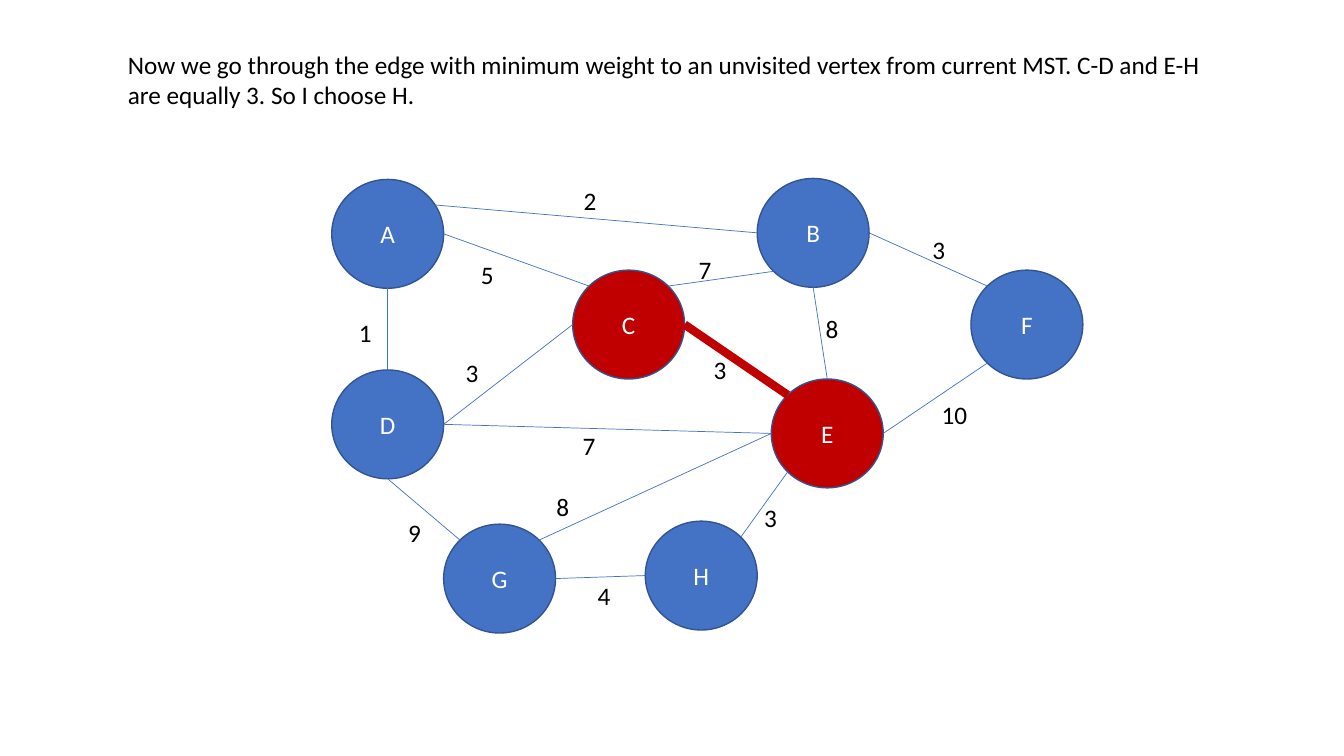
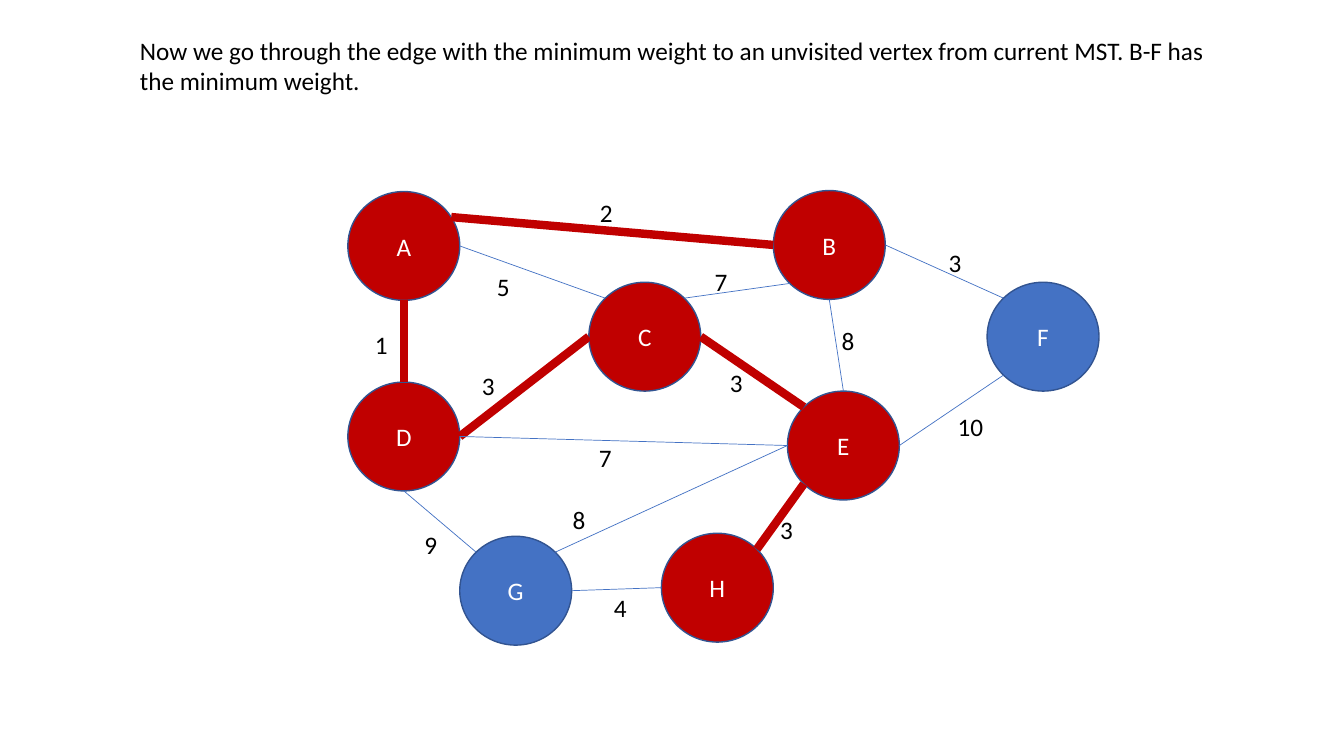
from dataclasses import dataclass
from math import cos, radians, sin

from lxml.etree import SubElement
from pptx import Presentation
from pptx.dml.color import RGBColor
from pptx.enum.shapes import MSO_CONNECTOR, MSO_SHAPE
from pptx.enum.text import MSO_ANCHOR, PP_ALIGN
from pptx.oxml.ns import qn
from pptx.util import Inches, Pt

BLUE = RGBColor(0x44, 0x72, 0xC4)
NAVY = RGBColor(0x32, 0x54, 0x91)
RED = RGBColor(0xC0, 0x00, 0x00)
WHITE = RGBColor(0xFF, 0xFF, 0xFF)
BLACK = RGBColor(0x00, 0x00, 0x00)

FONT = "Calibri"
NODE_W, NODE_H = 1.11, 1.08
LABEL_H = 0.4
CAPTION_H = 0.71


@dataclass(frozen=True)
class Edge:
    """A weighted edge; angles (degrees, counterclockwise) say where it meets each node."""
    start: str
    start_angle: float
    end: str
    end_angle: float
    weight: int
    label_x: float
    label_y: float

    @property
    def name(self) -> str:
        return self.start + self.end


@dataclass(frozen=True)
class Step:
    """One state of the spanning tree, with the graph shifted by dx, dy."""
    caption: str
    caption_box: tuple[float, float, float]
    visited: str
    tree: frozenset[str]
    dx: float = 0
    dy: float = 0


NODES = {
    "A": (3.29, 1.78),
    "D": (3.29, 3.67),
    "G": (4.4, 5.2),
    "C": (5.68, 2.68),
    "B": (7.51, 1.77),
    "E": (7.65, 3.76),
    "H": (6.4, 5.17),
    "F": (9.63, 2.68),
}

EDGES = [
    Edge("A", 0, "C", 135, 5, 4.67, 2.52),
    Edge("A", 32, "B", 180, 2, 5.69, 1.79),
    Edge("A", 270, "D", 90, 1, 3.46, 3.1),
    Edge("D", 270, "G", 135, 9, 3.95, 5.08),
    Edge("G", 0, "H", 180, 4, 5.83, 5.71),
    Edge("H", 45, "E", 225, 3, 7.48, 4.93),
    Edge("E", 0, "F", 225, 10, 9.24, 3.91),
    Edge("B", 0, "F", 135, 3, 9.15, 2.28),
    Edge("B", 270, "E", 90, 8, 8.09, 3.06),
    Edge("D", 0, "C", 180, 3, 4.52, 3.5),
    Edge("C", 45, "B", 225, 7, 6.83, 2.47),
    Edge("D", 0, "E", 180, 7, 5.68, 4.22),
    Edge("C", 0, "E", 135, 3, 6.98, 3.47),
    Edge("G", 45, "E", 180, 8, 5.42, 4.83),
]

STEPS = [
    Step(
        "Now we go through the edge with minimum weight to an unvisited vertex "
        "from current MST. C-D and E-H are equally 3. So I choose H.",
        (1.17, 0.44, 11.14), "CE", frozenset({"CE"}),
    ),
    Step(
        "Now we go through the edge with the minimum weight to an unvisited vertex "
        "from current MST. B-F has the minimum weight.",
        (1.29, 0.3, 10.86), "ABCDEH", frozenset({"AB", "AD", "DC", "CE", "HE"}),
        dx=0.16, dy=0.12,
    ),
]


def write(s, text: str, *, color: RGBColor = BLACK, size: float = 18,
          align: PP_ALIGN = PP_ALIGN.LEFT, anchor: MSO_ANCHOR = MSO_ANCHOR.TOP) -> None:
    tf = s.text_frame
    tf.word_wrap = True
    tf.vertical_anchor = anchor
    p = tf.paragraphs[0]
    p.alignment = align
    r = p.add_run()
    r.text = text
    r.font.name = FONT
    r.font.size = Pt(size)
    r.font.color.rgb = color


def add_text(sp_tree, text: str, x: float, y: float, w: float, h: float) -> None:
    write(sp_tree.add_textbox(Inches(x), Inches(y), Inches(w), Inches(h)), text)


def add_node(sp_tree, name: str, x: float, y: float, fill: RGBColor) -> None:
    s = sp_tree.add_shape(MSO_SHAPE.OVAL, Inches(x), Inches(y),
                          Inches(NODE_W), Inches(NODE_H))
    s.shadow.inherit = False
    s.fill.solid()
    s.fill.fore_color.rgb = fill
    s.line.color.rgb = NAVY
    s.line.width = Pt(1)
    write(s, name, color=WHITE, align=PP_ALIGN.CENTER, anchor=MSO_ANCHOR.MIDDLE)


def rim_point(node: str, angle: float, step: Step) -> tuple[float, float]:
    x, y = NODES[node]
    a = radians(angle)
    return (x + step.dx + NODE_W / 2 * (1 + cos(a)),
            y + step.dy + NODE_H / 2 * (1 - sin(a)))


def add_edge(sp_tree, edge: Edge, step: Step) -> None:
    x1, y1 = rim_point(edge.start, edge.start_angle, step)
    x2, y2 = rim_point(edge.end, edge.end_angle, step)
    line = sp_tree.add_connector(MSO_CONNECTOR.STRAIGHT, Inches(x1), Inches(y1),
                                 Inches(x2), Inches(y2))
    in_tree = edge.name in step.tree
    line.line.color.rgb = RED if in_tree else BLUE
    line.line.width = Pt(6 if in_tree else 0.5)
    SubElement(line._element.spPr, qn("a:effectLst"))


def add_step(prs, step: Step) -> None:
    sp_tree = prs.slides.add_slide(prs.slide_layouts[6]).shapes
    for name, (x, y) in NODES.items():
        fill = RED if name in step.visited else BLUE
        add_node(sp_tree, name, x + step.dx, y + step.dy, fill)
    for edge in EDGES:
        add_edge(sp_tree, edge, step)
    for edge in EDGES:
        width = 0.39 if edge.weight < 10 else 0.62
        add_text(sp_tree, str(edge.weight), edge.label_x + step.dx,
                 edge.label_y + step.dy, width, LABEL_H)
    add_text(sp_tree, step.caption, *step.caption_box, CAPTION_H)


def main() -> None:
    prs = Presentation()
    prs.slide_width, prs.slide_height = Inches(13.33), Inches(7.5)
    for step in STEPS:
        add_step(prs, step)
    prs.save("out.pptx")


if __name__ == "__main__":
    main()
